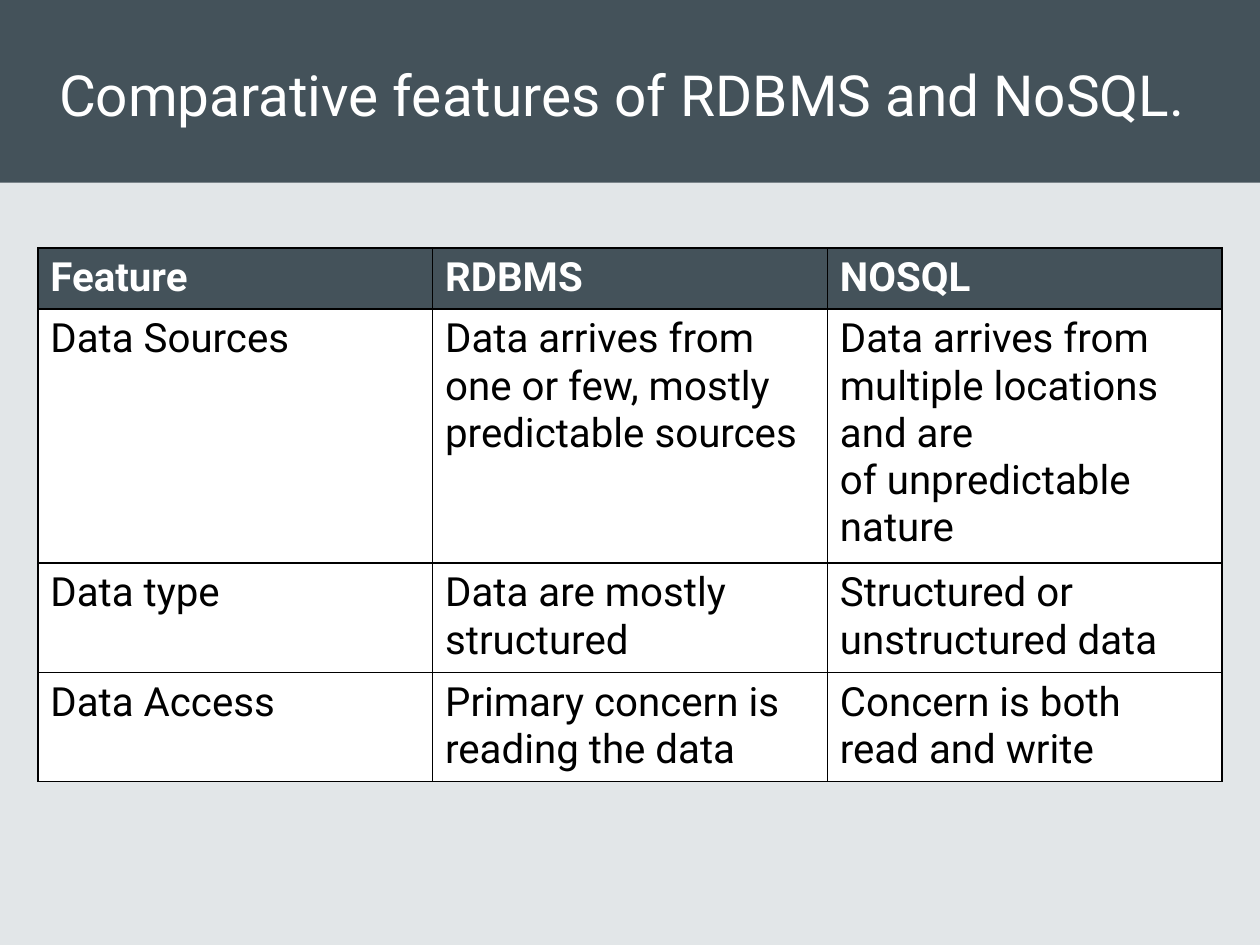
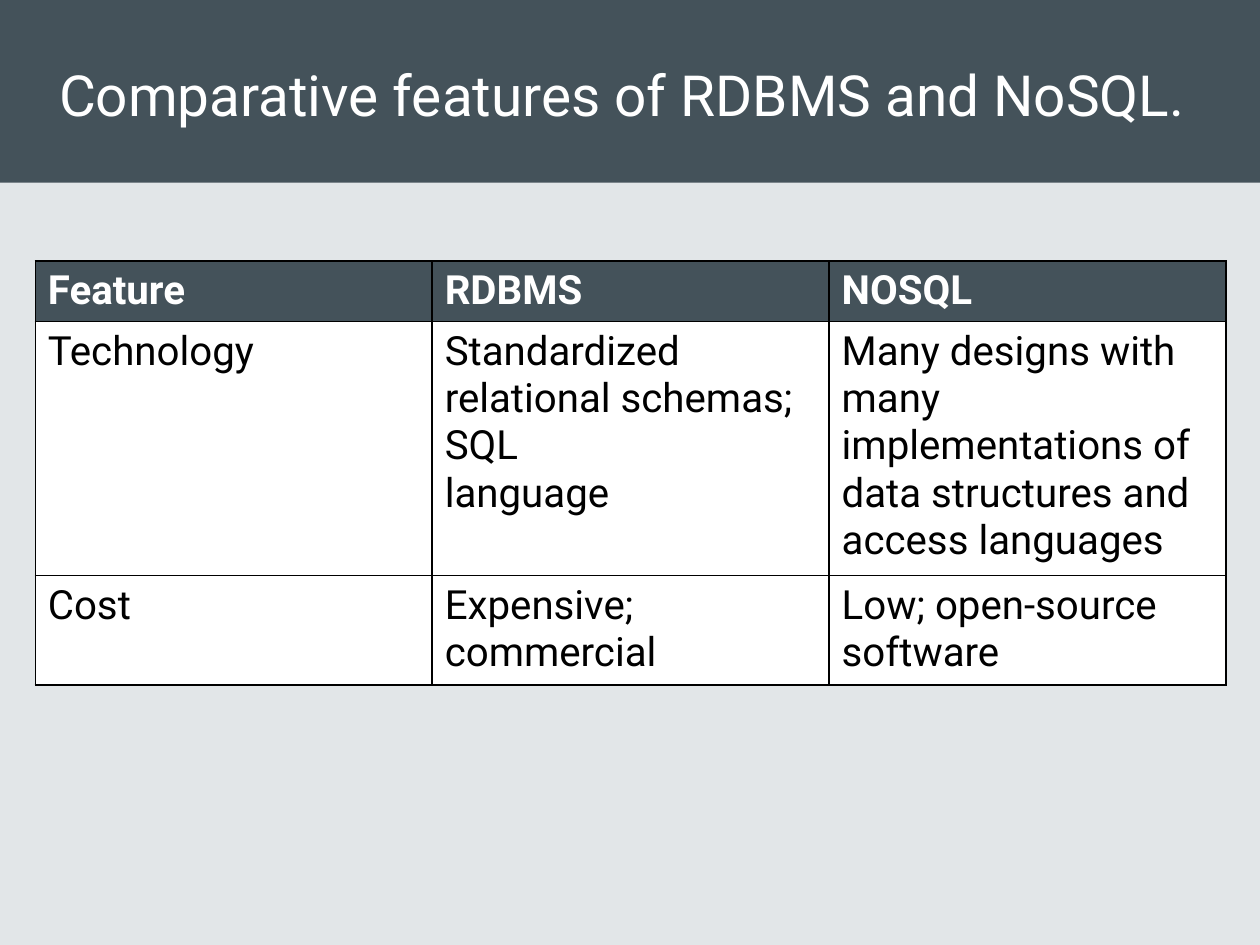
from dataclasses import dataclass

from lxml import etree
from pptx import Presentation
from pptx.dml.color import RGBColor
from pptx.enum import shapes, text
from pptx.oxml import ns
from pptx.util import Pt


@dataclass(frozen=True)
class Theme:
    font: str = "Roboto"
    slate: str = "44525A"
    backdrop: str = "E2E6E8"
    paper: str = "FFFFFF"
    ink: str = "000000"
    title_size: float = 32.4
    body_size: float = 23
    body_line: float = 27
    cell_margin: float = 3.6
    border: float = 1


THEME = Theme()
WIDTH, HEIGHT = 720, 540
BAND_BOX = (0, 0, WIDTH, 104.4)
TITLE = "Comparative features of RDBMS and NoSQL."
HEADINGS = ("Feature", "RDBMS", "NOSQL")

# Each page: table left, top and width, the text lines in each body row, and the rows.
# A cell is a tuple of paragraphs.
PAGES = (
    ((21.6, 141.84, 676.8), (5, 2, 2), (
        (("Data Sources",),
         ("Data arrives from one or few, mostly", "predictable sources"),
         ("Data arrives from multiple locations and are", "of unpredictable nature")),
        (("Data type",),
         ("Data are mostly structured",),
         ("Structured or unstructured data",)),
        (("Data Access",),
         ("Primary concern is reading the data",),
         ("Concern is both read and write",)),
    )),
    ((20.16, 149.04, 680.4), (5, 2), (
        (("Technology",),
         ("Standardized relational schemas; SQL", "language"),
         ("Many designs with many implementations of", "data structures and access languages")),
        (("Cost",),
         ("Expensive; commercial",),
         ("Low; open-source software",)),
    )),
)


def paint(fill, color):
    fill.solid()
    fill.fore_color.rgb = RGBColor.from_string(color)


def add_run(paragraph, words, size, color, bold=False):
    run = paragraph.add_run()
    run.text = words
    run.font.name = THEME.font
    run.font.size = Pt(size)
    run.font.bold = bold
    run.font.color.rgb = RGBColor.from_string(color)


def add_title_band(slide, box):
    left, top, width, height = box
    band = slide.shapes.add_shape(
        shapes.MSO_SHAPE.RECTANGLE, Pt(left), Pt(top), Pt(width), Pt(height))
    band.shadow.inherit = False
    paint(band.fill, THEME.slate)
    band.line.fill.background()

    title = slide.shapes.add_textbox(
        Pt(left + 26.64), Pt(top + 1.5), Pt(width - 59), Pt(height))
    frame = title.text_frame
    frame.word_wrap = True
    frame.vertical_anchor = text.MSO_ANCHOR.MIDDLE
    add_run(frame.paragraphs[0], TITLE, THEME.title_size, THEME.paper)


def outline_cell(cell):
    """Draw all four borders; call before the cell is filled, as the schema wants lines first."""
    properties = cell._tc.get_or_add_tcPr()
    for side in ("lnL", "lnR", "lnT", "lnB"):
        line = etree.SubElement(properties, ns.qn(f"a:{side}"), w=str(Pt(THEME.border)))
        solid = etree.SubElement(line, ns.qn("a:solidFill"))
        etree.SubElement(solid, ns.qn("a:srgbClr"), val=THEME.ink)


def fill_cell(cell, paragraphs, is_heading):
    outline_cell(cell)
    paint(cell.fill, THEME.slate if is_heading else THEME.paper)
    frame = cell.text_frame
    for index, words in enumerate(paragraphs):
        paragraph = frame.add_paragraph() if index else frame.paragraphs[0]
        add_run(paragraph, words, THEME.body_size,
                THEME.paper if is_heading else THEME.ink, is_heading)


def add_comparison(slide, box, line_counts, features):
    left, top, width = box
    rows = (tuple((heading,) for heading in HEADINGS), *features)
    heights = [lines * THEME.body_line + 2 * THEME.cell_margin for lines in (1, *line_counts)]
    table = slide.shapes.add_table(
        len(rows), len(HEADINGS), Pt(left), Pt(top), Pt(width), Pt(sum(heights))).table
    table.horz_banding = False
    for column in table.columns:
        column.width = Pt(width / len(HEADINGS))
    for row_index, (row, height) in enumerate(zip(rows, heights)):
        table.rows[row_index].height = Pt(height)
        for column_index, paragraphs in enumerate(row):
            fill_cell(table.cell(row_index, column_index), paragraphs, row_index == 0)


def main():
    deck = Presentation()
    deck.slide_width, deck.slide_height = Pt(WIDTH), Pt(HEIGHT)
    for table_box, line_counts, features in PAGES:
        slide = deck.slides.add_slide(deck.slide_layouts[6])
        paint(slide.background.fill, THEME.backdrop)
        add_title_band(slide, BAND_BOX)
        add_comparison(slide, table_box, line_counts, features)
    deck.save("out.pptx")


if __name__ == "__main__":
    main()
